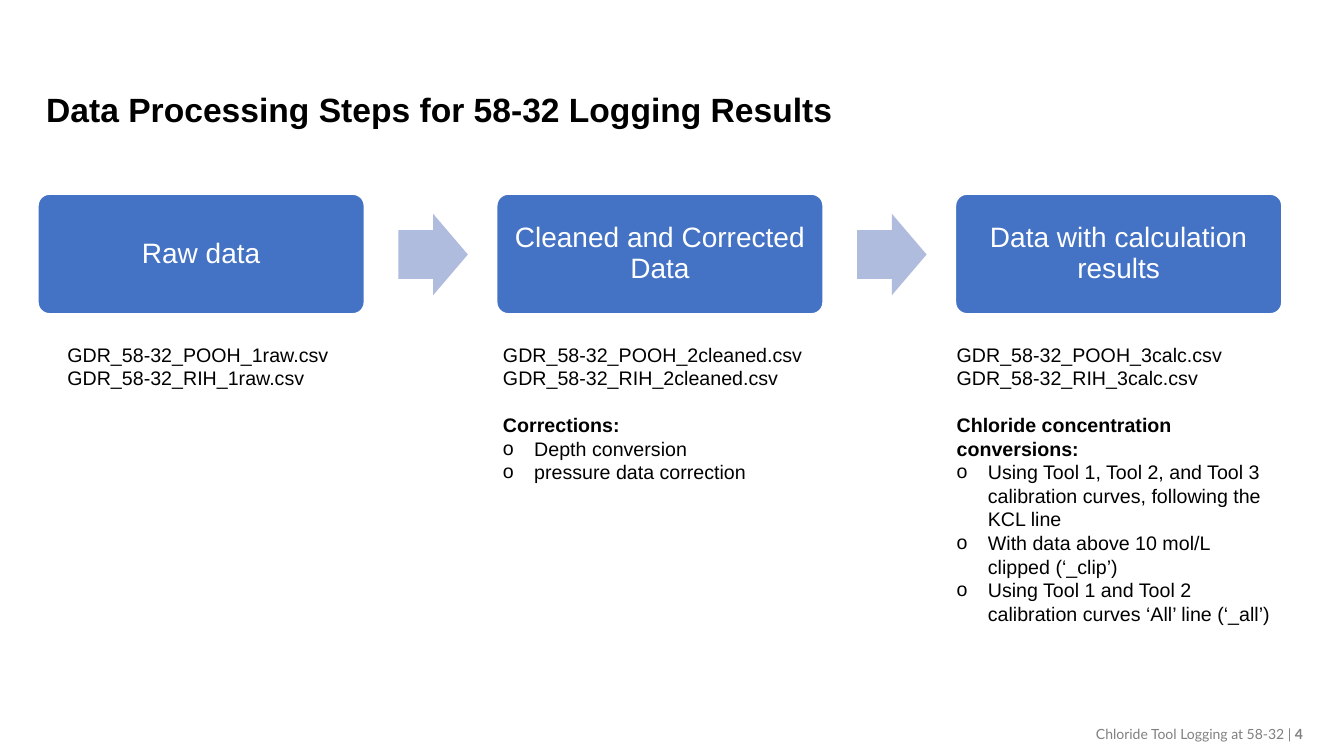
from pptx import Presentation, util as u
from pptx.dml.color import RGBColor
from pptx.enum import shapes, text
from pptx.oxml.ns import qn
from lxml import etree

HUES = {"ink": "000000", "paper": "FFFFFF", "step": "4472C4",
        "arrow": "B0BCDE", "foot": "808080"}
PITCH = 4.55

# step title, notes left, notes width, files, heading, bullets
STEPS = [
    ("Raw data", 0.57, 3.83,
     ["GDR_58-32_POOH_1raw.csv", "GDR_58-32_RIH_1raw.csv"], None, []),
    ("Cleaned and Corrected Data", 4.89, 3.31,
     ["GDR_58-32_POOH_2cleaned.csv", "GDR_58-32_RIH_2cleaned.csv"],
     "Corrections:", ["Depth conversion", "pressure data correction"]),
    ("Data with calculation results", 9.39, 3.37,
     ["GDR_58-32_POOH_3calc.csv", "GDR_58-32_RIH_3calc.csv"],
     "Chloride concentration conversions:",
     ["Using Tool 1, Tool 2, and Tool 3 calibration curves, following the KCL line",
      "With data above 10 mol/L clipped (‘_clip’)",
      "Using Tool 1 and Tool 2 calibration curves ‘All’ line (‘_all’)"]),
]


class Deck:
    def __init__(self):
        self.prs = Presentation()
        self.prs.slide_width = u.Inches(13.33)
        self.prs.slide_height = u.Inches(7.5)
        self.slide = self.prs.slides.add_slide(self.prs.slide_layouts[6])

    def hue(self, name):
        return RGBColor.from_string(HUES[name])

    def run(self, para, words, size, hue="ink", bold=False, face="Arial"):
        run = para.add_run()
        run.text = words
        run.font.size = u.Pt(size)
        run.font.name = face
        run.font.bold = bold
        run.font.color.rgb = self.hue(hue)

    def box(self, *place, wrap=True):
        """Add an empty text box and return its frame."""
        frame = self.slide.shapes.add_textbox(*map(u.Inches, place)).text_frame
        frame.word_wrap = wrap
        return frame

    def shape(self, kind, place, fill, adjust):
        item = self.slide.shapes.add_shape(kind, *map(u.Inches, place))
        item.shadow.inherit = False
        item.fill.solid()
        item.fill.fore_color.rgb = self.hue(fill)
        item.line.fill.background()
        for i, value in enumerate(adjust):
            item.adjustments[i] = value
        return item

    def step(self, left, title):
        card = self.shape(shapes.MSO_SHAPE.ROUNDED_RECTANGLE,
                          (left, 1.92, 3.25, 1.2), "step", [0.1])
        card.line.color.rgb = self.hue("paper")
        card.line.width = u.Pt(2)
        frame = card.text_frame
        frame.word_wrap = True
        frame.vertical_anchor = text.MSO_ANCHOR.MIDDLE
        para = frame.paragraphs[0]
        para.alignment = text.PP_ALIGN.CENTER
        para.line_spacing = 0.9
        self.run(para, title, 20, "paper")

    def arrow(self, left):
        self.shape(shapes.MSO_SHAPE.RIGHT_ARROW, (left, 2.12, 0.69, 0.81),
                   "arrow", [0.6, 0.5])

    def bullet(self, para):
        props = para._p.get_or_add_pPr()
        props.set("marL", str(u.Inches(0.31)))
        props.set("indent", str(-u.Inches(0.31)))
        etree.SubElement(props, qn("a:buFont"), typeface="Arial")
        etree.SubElement(props, qn("a:buChar"), char="o")

    def notes(self, left, width, files, head, points):
        frame = self.box(left, 3.35, width, 3.4 if points else 0.57)
        for i, name in enumerate(files):
            para = frame.add_paragraph() if i else frame.paragraphs[0]
            self.run(para, name, 14)
        if head:
            para = frame.add_paragraph()
            para.space_before = u.Pt(16.8)
            self.run(para, head, 14, bold=True)
        for point in points:
            para = frame.add_paragraph()
            self.bullet(para)
            self.run(para, point, 14)


def main():
    deck = Deck()
    title = deck.box(0.36, 0.83, 8.07, 0.5, wrap=False).paragraphs[0]
    deck.run(title, "Data Processing Steps for 58-32 Logging Results", 24, bold=True)

    for i, (name, *notes) in enumerate(STEPS):
        left = 0.37 + i * PITCH
        if i:
            deck.arrow(left - 0.97)
        deck.step(left, name)
        deck.notes(*notes)

    foot = deck.box(7.63, 7.15, 5.39, 0.27).paragraphs[0]
    foot.alignment = text.PP_ALIGN.RIGHT
    deck.run(foot, "Chloride Tool Logging at 58-32 | ", 10, "foot", face="Lato")
    deck.run(foot, "4", 10, "foot", bold=True, face="Lato")
    deck.prs.save("out.pptx")


if __name__ == "__main__":
    main()
